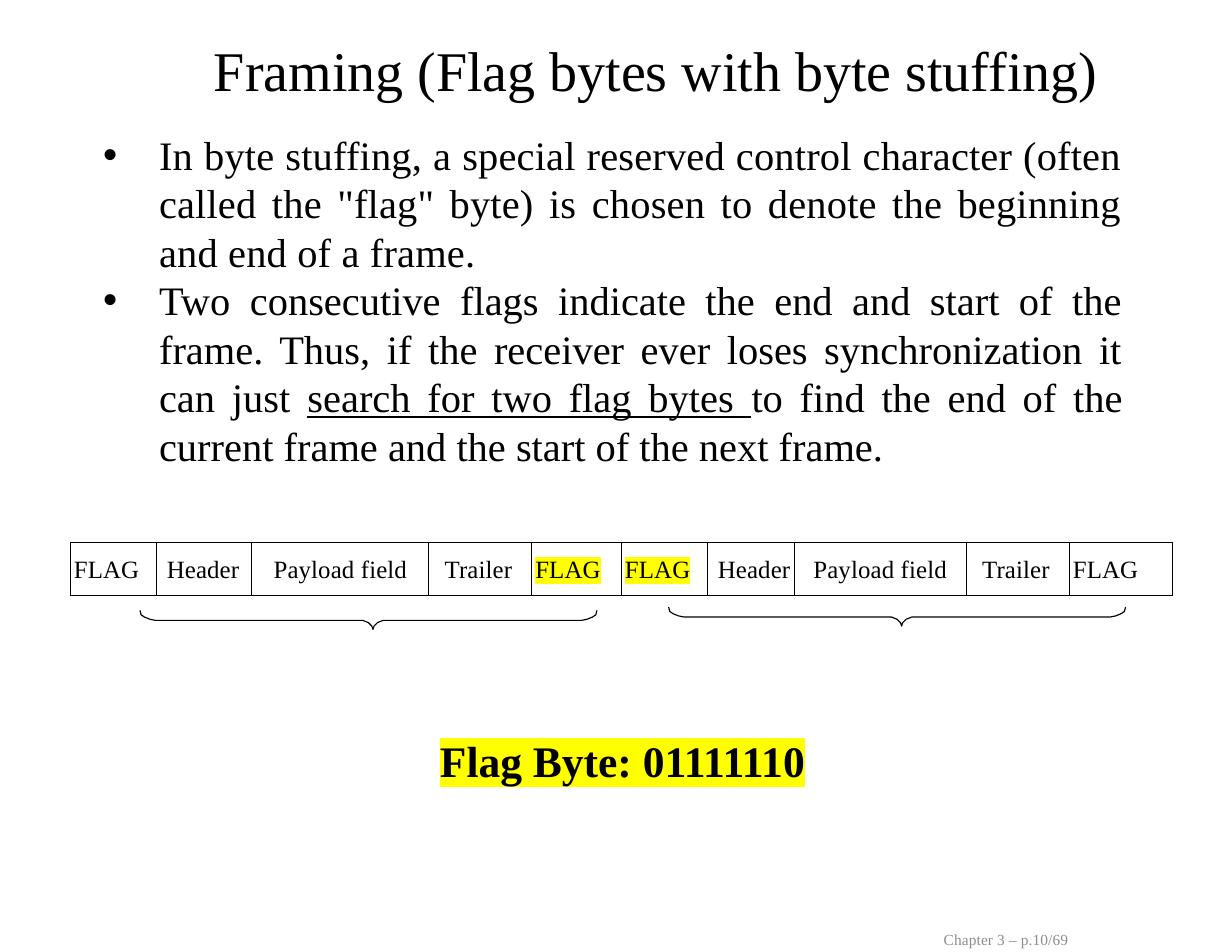
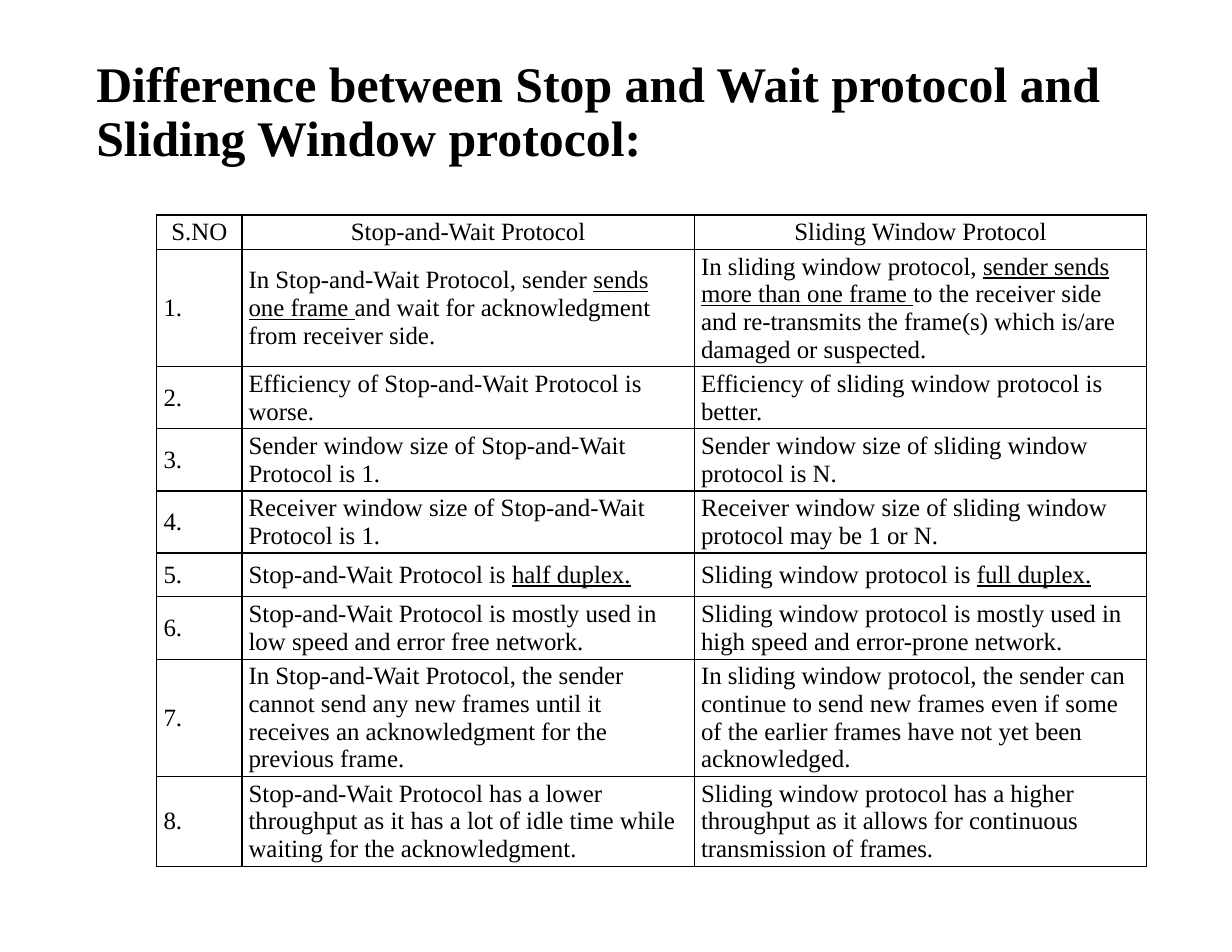
from pptx import Presentation
from pptx.dml.color import RGBColor
from pptx.enum.text import MSO_ANCHOR, MSO_AUTO_SIZE, PP_ALIGN
from pptx.oxml import parse_xml
from pptx.oxml.ns import nsdecls, qn
from pptx.util import Inches, Pt

LEFT, CENTER, RIGHT, JUSTIFY = PP_ALIGN.LEFT, PP_ALIGN.CENTER, PP_ALIGN.RIGHT, PP_ALIGN.JUSTIFY
TOP, MIDDLE = MSO_ANCHOR.TOP, MSO_ANCHOR.MIDDLE
NO_AUTOFIT = MSO_AUTO_SIZE.NONE
FONT = "Times New Roman"
BLACK, GREY, YELLOW = "000000", "8C8C8C", "FFFF00"
TITLE_AND_CONTENT, TITLE_ONLY = 1, 5

BULLETS = [
    ('In byte stuffing, a special reserved control character (often called the "flag" byte) '
     "is chosen to denote the beginning and end of a frame.", 10),
    ("Two consecutive flags indicate the end and start of the frame. Thus, if the receiver "
     "ever loses synchronization it can just _search for two flag bytes _to find the end of "
     "the current frame and the start of the next frame.", 0),
]
FIELDS = [("FLAG", 0.03), ("Header", 0.09), ("Payload field", 0), ("Trailer", 0.14), ("FLAG", 0.03)]
FRAMES = [
    (0.63, [0.77, 0.85, 1.58, 0.92, 0.8], 4),
    (5.55, [0.77, 0.77, 1.54, 0.92, 0.92], 0),
]
HEADINGS = ["S.NO", "Stop-and-Wait Protocol", "Sliding Window Protocol"]
DIFFERENCES = [
    ("In Stop-and-Wait Protocol, sender _sends one frame _and wait for acknowledgment from "
     "receiver side.",
     "In sliding window protocol, _sender sends more than one frame _to the receiver side and "
     "re-transmits the frame(s) which is/are damaged or suspected."),
    ("Efficiency of Stop-and-Wait Protocol is worse.",
     "Efficiency of sliding window protocol is better."),
    ("Sender window size of Stop-and-Wait Protocol is 1.",
     "Sender window size of sliding window protocol is N."),
    ("Receiver window size of Stop-and-Wait Protocol is 1.",
     "Receiver window size of sliding window protocol may be 1 or N."),
    ("Stop-and-Wait Protocol is _half duplex._",
     "Sliding window protocol is _full duplex._"),
    ("Stop-and-Wait Protocol is mostly used in low speed and error free network.",
     "Sliding window protocol is mostly used in high speed and error-prone network."),
    ("In Stop-and-Wait Protocol, the sender cannot send any new frames until it receives an "
     "acknowledgment for the previous frame.",
     "In sliding window protocol, the sender can continue to send new frames even if some of "
     "the earlier frames have not yet been acknowledged."),
    ("Stop-and-Wait Protocol has a lower throughput as it has a lot of idle time while waiting "
     "for the acknowledgment.",
     "Sliding window protocol has a higher throughput as it allows for continuous transmission "
     "of frames."),
]
ROW_HEIGHTS = [0.23, 0.88, 0.39, 0.39, 0.39, 0.39, 0.56, 0.88, 0.72]


def rgb(code):
    """Turn a hex string into a colour."""
    return RGBColor.from_string(code)


def write(p, text, size=16, color=BLACK, bold=False, align=LEFT, spacing=0, highlight=None):
    """Fill a paragraph with formatted runs, underlining what stands between underscores."""
    p.alignment = align
    p.space_before = Pt(0)
    for i, part in enumerate(text.split("_")):
        if not part:
            continue
        r = p.add_run()
        r.text = part
        r.font.size, r.font.bold, r.font.name = Pt(size), bold, FONT
        r.font.color.rgb = rgb(color)
        if i % 2:
            r.font.underline = True
        rPr = r.font._element
        if spacing:
            rPr.set("spc", str(spacing))
        if highlight:
            rPr.find(qn("a:latin")).addprevious(parse_xml(
                f'<a:highlight {nsdecls("a")}><a:srgbClr val="{highlight}"/></a:highlight>'))


def frame_text(sp, box, anchor=TOP, margins=(0, 0, 0, 0)):
    """Place a text shape in its box and return its prepared text frame."""
    sp.left, sp.top, sp.width, sp.height = (Inches(v) for v in box)
    tf = sp.text_frame
    tf.word_wrap, tf.auto_size, tf.vertical_anchor = True, NO_AUTOFIT, anchor
    tf.margin_left, tf.margin_top, tf.margin_right, tf.margin_bottom = (Inches(v) for v in margins)
    return tf


def add_text(s, box, text, anchor=TOP, margins=(0, 0, 0, 0), **fmt):
    """Add a one-paragraph text box."""
    tf = frame_text(s.shapes.add_textbox(0, 0, 0, 0), box, anchor, margins)
    write(tf.paragraphs[0], text, **fmt)


def set_title(s, box, text, margins, line_spacing=1.0, **fmt):
    """Place and fill the title placeholder."""
    p = frame_text(s.shapes.title, box, MIDDLE, margins).paragraphs[0]
    p.line_spacing = line_spacing
    write(p, text, **fmt)


def set_bullets(s, box, items):
    """Fill the body placeholder with a justified bullet list."""
    tf = frame_text(s.placeholders[1], box, TOP, (0, 0.01, 0, 0))
    for i, (text, spacing) in enumerate(items):
        p = tf.add_paragraph() if i else tf.paragraphs[0]
        pPr = p._p.get_or_add_pPr()
        pPr.set("marL", str(Inches(0.5)))
        pPr.set("indent", str(-Inches(0.5)))
        pPr.append(parse_xml(f'<a:buFont {nsdecls("a")} typeface="Arial"/>'))
        pPr.append(parse_xml(f'<a:buChar {nsdecls("a")} char="•"/>'))
        write(p, text, size=26, align=JUSTIFY, spacing=spacing)


def add_grid(s, left, top, widths, heights):
    """Add a plain table with the given column widths and row heights."""
    gf = s.shapes.add_table(len(heights), len(widths), Inches(left), Inches(top),
                            Inches(sum(widths)), Inches(sum(heights)))
    table = gf.table
    table.first_row = table.horz_banding = False
    for column, width in zip(table.columns, widths):
        column.width = Inches(width)
    for row, height in zip(table.rows, heights):
        row.height = Inches(height)
    return gf


def fill_cell(cell, text, margins, border, anchor=TOP, **fmt):
    """Write a cell and draw its four borders."""
    cell.margin_left, cell.margin_top, cell.margin_right, cell.margin_bottom = (
        Inches(v) for v in margins)
    cell.vertical_anchor = anchor
    cell.fill.background()
    tcPr = cell._tc.get_or_add_tcPr()
    for i, side in enumerate("LRTB"):
        tcPr.insert(i, parse_xml(
            f'<a:ln{side} {nsdecls("a")} w="{Pt(border)}"><a:solidFill>'
            f'<a:srgbClr val="{BLACK}"/></a:solidFill></a:ln{side}>'))
    write(cell.text_frame.paragraphs[0], text, **fmt)


def add_frame_row(s, left, top, widths, marked):
    """Draw the fields of one frame, highlighting the marked flag."""
    table = add_grid(s, left, top, widths, [0.48]).table
    for i, (text, indent) in enumerate(FIELDS):
        fill_cell(table.cell(0, i), text, (indent, 0.13, 0, 0), 0.75, spacing=10,
                  align=LEFT if indent else CENTER,
                  highlight=YELLOW if i == marked else None)


def add_brace(s, left, top, width=4.08):
    """Draw a downward brace with its tip just past the middle."""
    tip = 2.08
    corner = [(0, 0), (0.01, 0.04), (0.04, 0.06), (0.09, 0.08), (0.14, 0.09)]
    slope = [(0.15, 0.09), (0.09, 0.09), (0.04, 0.11), (0.01, 0.14)]
    points = corner + [(tip - x, y) for x, y in slope] + [(tip, 0.17)]
    points += [(tip + x, y) for x, y in reversed(slope)]
    points += [(width - x, y) for x, y in reversed(corner)]
    points = [(Inches(left + x), Inches(top + y)) for x, y in points]
    builder = s.shapes.build_freeform(*points[0])
    builder.add_line_segments(points[1:], close=False)
    sp = builder.convert_to_shape()
    sp.shadow.inherit = False
    sp.fill.background()
    sp.line.color.rgb = rgb(BLACK)
    sp.line.width = Pt(0.75)


def framing_slide(prs):
    """Build the slide on byte stuffing."""
    s = prs.slides.add_slide(prs.slide_layouts[TITLE_AND_CONTENT])
    set_title(s, (1.91, 0.3, 8.11, 0.62), "Framing (Flag bytes with byte stuffing)",
              (0, 0.01, 0, 0), size=36)
    add_text(s, (7.06, 8.3, 2.48, 0.17), "Chapter 3 – p.10/69", MIDDLE,
             size=9.9, color=GREY, align=RIGHT, spacing=10)
    set_bullets(s, (0.92, 1.15, 9.11, 3.08), BULLETS)
    for left, widths, marked in FRAMES:
        add_frame_row(s, left, 4.84, widths, marked)
    add_brace(s, 5.97, 5.42)
    add_brace(s, 1.25, 5.45)
    add_text(s, (3.83, 6.5, 3.91, 0.57), "Flag Byte: 01111110", margins=(0.1, 0.05, 0.1, 0.05),
             size=28, bold=True, highlight=YELLOW)


def comparison_slide(prs):
    """Build the slide that compares the two protocols."""
    s = prs.slides.add_slide(prs.slide_layouts[TITLE_ONLY])
    set_title(s, (0.76, 0.45, 9.49, 1.13),
              "Difference between Stop and Wait protocol and Sliding Window protocol:",
              (0.1, 0.05, 0.1, 0.05), line_spacing=0.9, size=32, bold=True)
    gf = add_grid(s, 1.4, 1.92, [0.76, 4.04, 4.04], ROW_HEIGHTS)
    gf.height = Inches(6.22)
    rows = [HEADINGS] + [(f"{n}.", *pair) for n, pair in enumerate(DIFFERENCES, 1)]
    for i, row in enumerate(rows):
        for j, text in enumerate(row):
            fill_cell(gf.table.cell(i, j), text, (0.06, 0.03, 0.06, 0.03), 1, MIDDLE,
                      align=LEFT if i else CENTER)


def main():
    """Build and save the presentation."""
    prs = Presentation()
    prs.slide_width, prs.slide_height = Inches(11), Inches(8.5)
    framing_slide(prs)
    comparison_slide(prs)
    prs.save("out.pptx")


if __name__ == "__main__":
    main()
